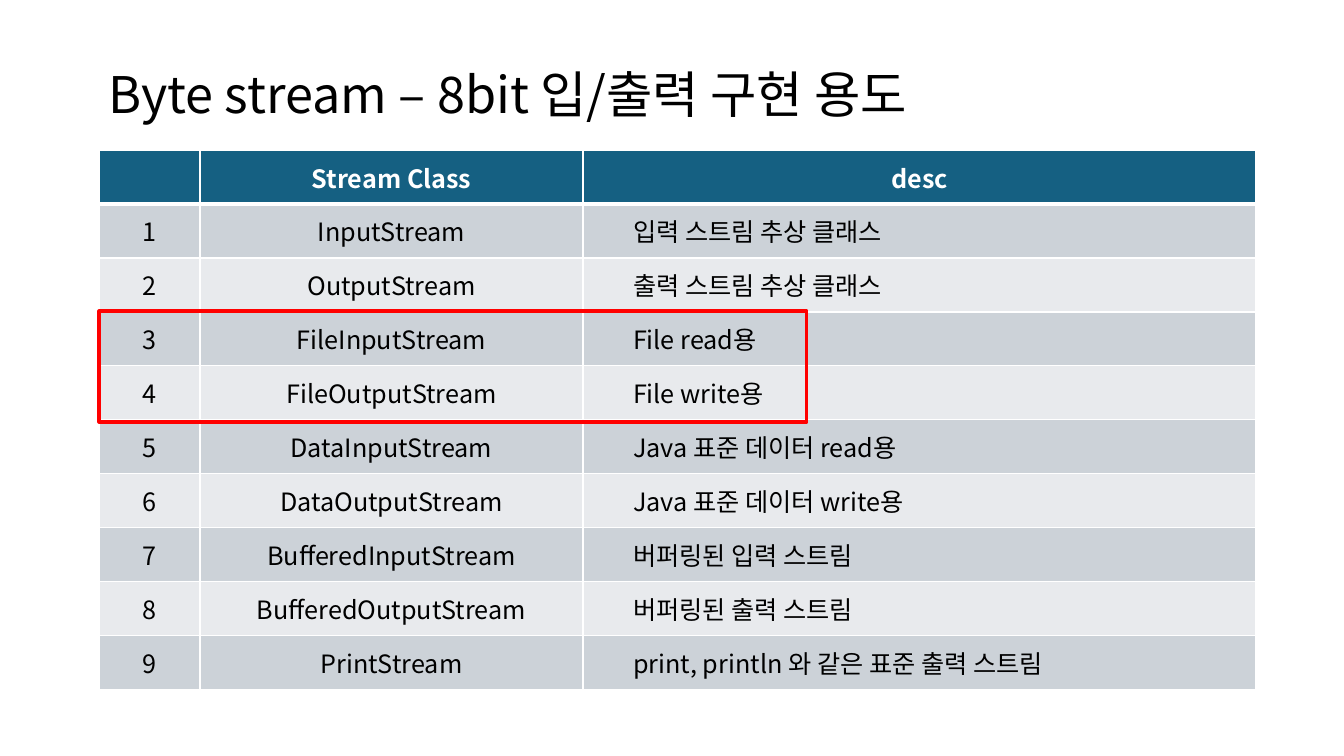
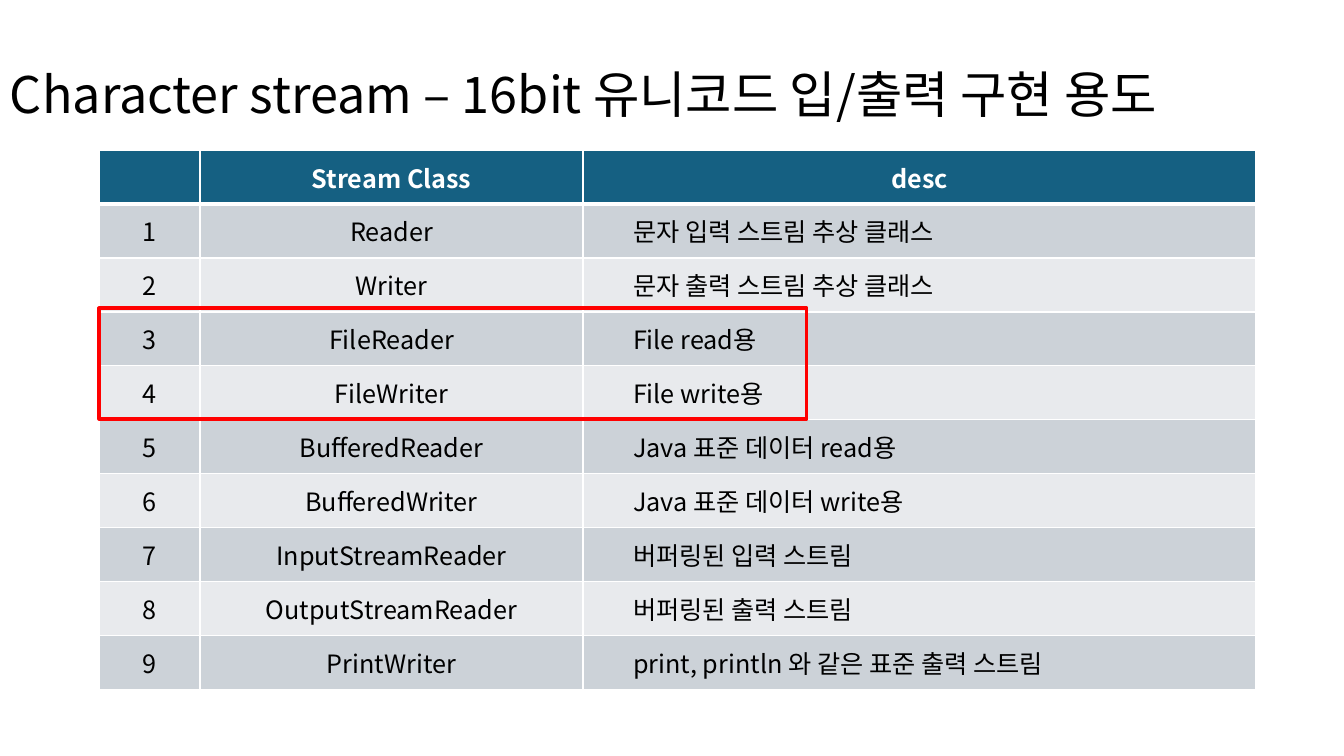
from lxml.etree import SubElement
from pptx import Presentation
from pptx.dml.color import RGBColor
from pptx.enum.shapes import MSO_SHAPE
from pptx.enum.text import MSO_ANCHOR, MSO_AUTO_SIZE, PP_ALIGN
from pptx.oxml.ns import qn
from pptx.util import Pt

PX = 914400 / 100.8
FONT = "Noto Sans CJK KR"
WHITE, BLACK, RED = "FFFFFF", "000000", "FF0000"
HEAD, BANDS = "156082", ("CCD2D8", "E8EAED")
LEFT, TOP, ROW = 99, 150, 54
COLS = (101, 383, 673)
INDENT = 40
LABELS = ("", "Stream Class", "desc")

SHARED = (
    "File read용",
    "File write용",
    "Java 표준 데이터 read용",
    "Java 표준 데이터 write용",
    "버퍼링된 입력 스트림",
    "버퍼링된 출력 스트림",
    "print, println 와 같은 표준 출력 스트림",
)
BYTES = (
    "InputStream", "OutputStream", "FileInputStream", "FileOutputStream",
    "DataInputStream", "DataOutputStream", "BufferedInputStream",
    "BufferedOutputStream", "PrintStream",
)
CHARS = (
    "Reader", "Writer", "FileReader", "FileWriter", "BufferedReader",
    "BufferedWriter", "InputStreamReader", "OutputStreamReader", "PrintWriter",
)


def px(num):
    return round(num * PX)


def color(code):
    return RGBColor.from_string(code)


def write(frame, text, size, code, bold=False):
    frame.text = text
    para = frame.paragraphs[0]
    for run in para.runs:
        font = run.font
        font.name, font.size, font.bold = FONT, Pt(size), bold
        font.color.rgb = color(code)
        SubElement(font._element, qn("a:ea"), typeface=FONT)
    return para


def title(slide, text, left, width):
    box = slide.shapes.add_textbox(px(left), px(58), px(width), px(72))
    frame = box.text_frame
    frame.word_wrap = True
    frame.auto_size = MSO_AUTO_SIZE.SHAPE_TO_FIT_TEXT
    write(frame, text, 36, BLACK)


def border(cell, top, base):
    props = cell._tc.get_or_add_tcPr()
    for side, width in zip("LRTB", (1, 1, top, base)):
        line = SubElement(props, qn(f"a:ln{side}"), w=str(Pt(width)))
        fill = SubElement(line, qn("a:solidFill"))
        SubElement(fill, qn("a:srgbClr"), val=WHITE)


def paint(cell, row, col, text):
    head = row == 0
    border(cell, 3 if row == 1 else 1, 3 if head else 1)
    cell.fill.solid()
    cell.fill.fore_color.rgb = color(HEAD if head else BANDS[(row - 1) % 2])
    cell.vertical_anchor = MSO_ANCHOR.MIDDLE
    para = write(cell.text_frame, text, 18, WHITE if head else BLACK, head)
    if head or col < 2:
        para.alignment = PP_ALIGN.CENTER
    else:
        para._p.get_or_add_pPr().set("marL", str(px(INDENT)))


def grid(slide, names, notes):
    body = [(str(num), *pair) for num, pair in enumerate(zip(names, notes), 1)]
    rows = [LABELS, *body]
    table = slide.shapes.add_table(
        len(rows), len(COLS), px(LEFT), px(TOP),
        px(sum(COLS)), px(ROW * len(rows))).table
    table.horz_banding = False
    for col, width in zip(table.columns, COLS):
        col.width = px(width)
    for row, texts in enumerate(rows):
        table.rows[row].height = px(ROW)
        for col, text in enumerate(texts):
            paint(table.cell(row, col), row, col, text)


def frame_rows(slide, top):
    box = slide.shapes.add_shape(
        MSO_SHAPE.RECTANGLE, px(LEFT), px(top), px(708), px(111))
    box.shadow.inherit = False
    box.fill.background()
    box.line.color.rgb = color(RED)
    box.line.width = Pt(2.25)


def page(deck, text, left, width, names, kind, top):
    slide = deck.slides.add_slide(deck.slide_layouts[6])
    title(slide, text, left, width)
    intro = [f"{kind}{way} 스트림 추상 클래스" for way in ("입력", "출력")]
    grid(slide, names, [*intro, *SHARED])
    frame_rows(slide, top)


def main():
    deck = Presentation()
    deck.slide_width, deck.slide_height = px(1344), px(756)
    page(deck, "Byte stream – 8bit 입/출력 구현 용도",
         LEFT, 873, BYTES, "", 311)
    page(deck, "Character stream – 16bit 유니코드 입/출력 구현 용도",
         0, 1342, CHARS, "문자 ", 308)
    deck.save("out.pptx")


if __name__ == "__main__":
    main()
